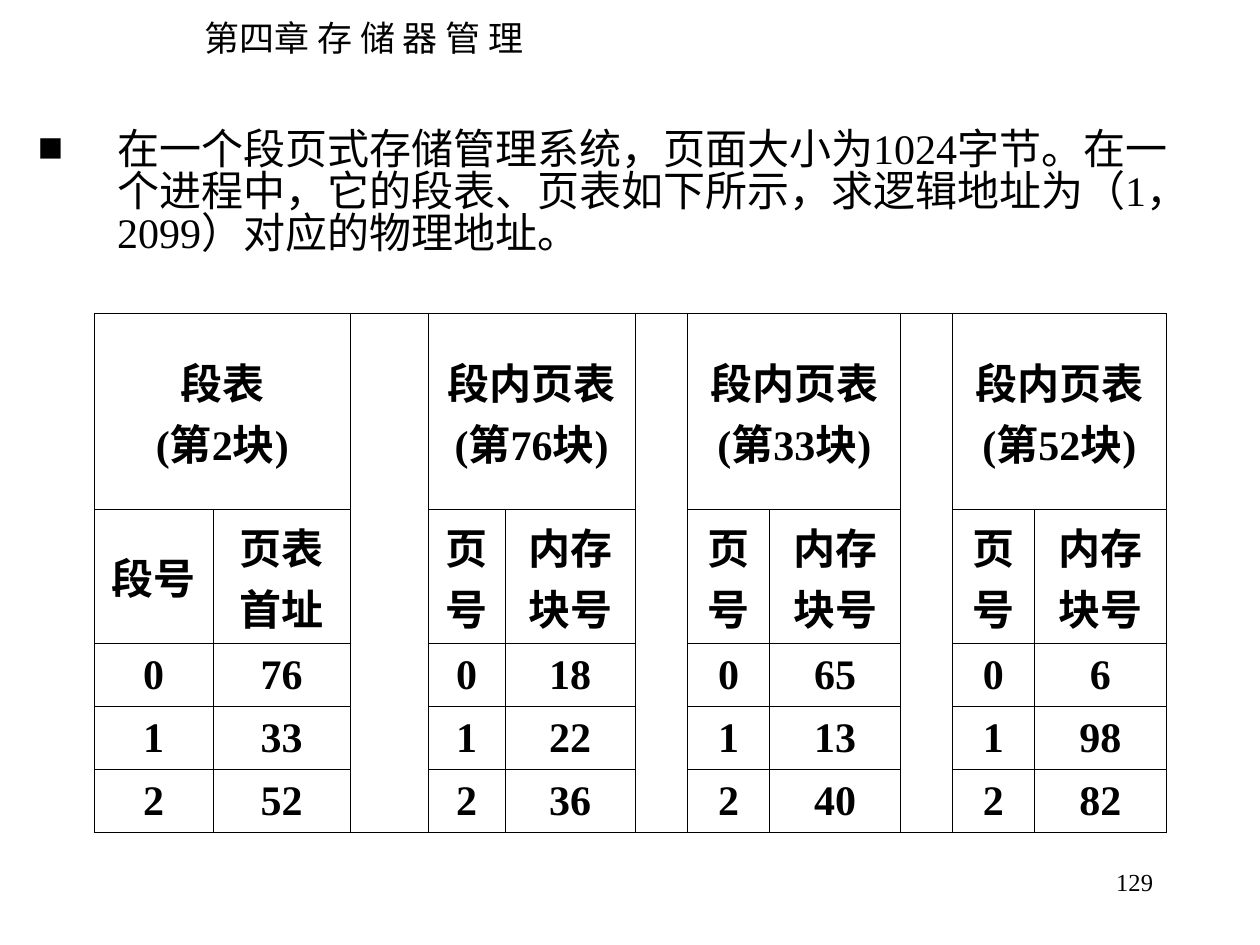
import dataclasses
import typing

import lxml.etree
import pptx
import pptx.dml.color
import pptx.enum.text
import pptx.oxml.ns
import pptx.util

ALIGN = pptx.enum.text.PP_ALIGN
ANCHOR = pptx.enum.text.MSO_ANCHOR
WIDE = pptx.util.Inches(10)
HIGH = pptx.util.Inches(7.5)


@dataclasses.dataclass(frozen=True)
class Theme:
    ink: str = "000000"
    serif: str = "Times New Roman"
    sans: str = "Noto Sans CJK SC"
    head: int = 20
    text: int = 24
    foot: int = 14
    rule: float = 0.45


@dataclasses.dataclass(frozen=True)
class Box:
    """A place in percent of the slide's width and height."""
    left: float
    top: float
    width: float
    height: float

    def emu(self) -> tuple[int, int, int, int]:
        return across(self.left), down(self.top), across(self.width), down(self.height)


@dataclasses.dataclass(frozen=True)
class Block:
    """Two table columns: a merged head, two labels, then numbered rows."""
    head: str
    labels: tuple[str, str]
    values: tuple[int, ...]
    widths: tuple[float, float]


THEME = Theme()
PAGE = ("页号", "内存块号")
BLOCKS = (
    Block("段表\n(第2块)", ("段号", "页表首址"), (76, 33, 52), (9.4, 10.9)),
    Block("段内页表\n(第76块)", PAGE, (18, 22, 36), (6.1, 10.3)),
    Block("段内页表\n(第33块)", PAGE, (65, 13, 40), (6.5, 10.4)),
    Block("段内页表\n(第52块)", PAGE, (6, 98, 82), (6.5, 10.5)),
)
GAPS = (6.2, 4.2, 4.1)
ROWS = (17.33, 12, 6.67, 6.67, 6.67)


def across(share: float) -> int:
    return round(WIDE * share / 100)


def down(share: float) -> int:
    return round(HIGH * share / 100)


def add(parent: typing.Any, tag: str, **attrs: str) -> typing.Any:
    return lxml.etree.SubElement(parent, pptx.oxml.ns.qn(tag), attrs)


def paint(parent: typing.Any) -> None:
    add(add(parent, "a:solidFill"), "a:srgbClr", val=THEME.ink)


def write(frame: typing.Any, text: str, *, size: int = THEME.text,
          face: str = THEME.serif, bold: bool = False,
          align: typing.Any = ALIGN.LEFT, space: float = 1.0) -> None:
    frame.text = text
    for para in frame.paragraphs:
        para.alignment = align
        para.line_spacing = space
        para.space_before = pptx.util.Pt(0)
        for run in para.runs:
            font = run.font
            font.name, font.size, font.bold = face, pptx.util.Pt(size), bold
            font.color.rgb = pptx.dml.color.RGBColor.from_string(THEME.ink)
            add(font._element, "a:ea", typeface=THEME.sans)


def place(shape: typing.Any, box: Box, wrap: bool = True) -> typing.Any:
    shape.left, shape.top, shape.width, shape.height = box.emu()
    frame = shape.text_frame
    frame.word_wrap = wrap
    frame.auto_size = pptx.enum.text.MSO_AUTO_SIZE.NONE
    frame.vertical_anchor = ANCHOR.TOP
    return frame


def mark(para: typing.Any, sign: str, indent: float) -> None:
    """Give the paragraph a hanging bullet."""
    props = para._p.get_or_add_pPr()
    length = across(indent)
    props.set("marL", str(length))
    props.set("indent", str(-length))
    add(add(props, "a:buClr"), "a:srgbClr", val=THEME.ink)
    add(props, "a:buFont", typeface=THEME.serif)
    add(props, "a:buChar", char=sign)


def edge(cell: typing.Any, sides: str) -> None:
    """Rule the named sides and leave the others bare."""
    props = cell._tc.get_or_add_tcPr()
    for side in "LRTB":
        line = add(props, f"a:ln{side}", w=str(pptx.util.Pt(THEME.rule)))
        if side in sides:
            paint(line)
        else:
            add(line, "a:noFill")
    cell.fill.background()


def fill(cell: typing.Any, text: str) -> None:
    write(cell.text_frame, text, bold=True, align=ALIGN.CENTER)
    cell.vertical_anchor = ANCHOR.MIDDLE


def draw(slide: typing.Any) -> None:
    """Add the segment table and the page tables as one grid."""
    widths = list(BLOCKS[0].widths)
    for gap, block in zip(GAPS, BLOCKS[1:]):
        widths += [gap, *block.widths]
    box = Box(7.5, 33.2, sum(widths), sum(ROWS))
    table = slide.shapes.add_table(len(ROWS), len(widths), *box.emu()).table
    table.first_row = table.horz_banding = False
    for col, width in zip(table.columns, widths):
        col.width = across(width)
    for row, height in zip(table.rows, ROWS):
        row.height = down(height)

    last = len(ROWS) - 1
    for row in range(len(ROWS)):
        for col in range(len(widths)):
            gap = "LR" + "T" * (row == 0) + "B" * (row == last)
            edge(table.cell(row, col), gap if col % 3 == 2 else "LRTB")

    for index, block in enumerate(BLOCKS):
        col = index * 3
        table.cell(0, col).merge(table.cell(0, col + 1))
        fill(table.cell(0, col), block.head)
        lines = [block.labels, *enumerate(block.values)]
        for row, pair in enumerate(lines, 1):
            for step, value in enumerate(pair):
                fill(table.cell(row, col + step), str(value))


def main() -> None:
    deck = pptx.Presentation()
    deck.slide_width, deck.slide_height = WIDE, HIGH
    slide = deck.slides.add_slide(deck.slide_layouts.get_by_name("Title and Content"))

    head = place(slide.shapes.title, Box(15.2, 1.07, 28, 5.87), wrap=False)
    write(head, "第四章 存 储 器 管 理", size=THEME.head, face=THEME.sans)

    body = place(slide.placeholders[1], Box(2, 13.2, 94.5, 18.93))
    write(body, "在一个段页式存储管理系统，页面大小为1024字节。在一个进程中，"
          "它的段表、页表如下所示，求逻辑地址为（1，2099）对应的物理地址。", space=0.83)
    mark(body.paragraphs[0], "■", 6.3)

    draw(slide)

    box = Box(71.7, 91.07, 20.8, 6.67)
    foot = place(slide.shapes.add_textbox(*box.emu()), box)
    write(foot, "129", size=THEME.foot, align=ALIGN.RIGHT)
    deck.save("out.pptx")


if __name__ == "__main__":
    main()
